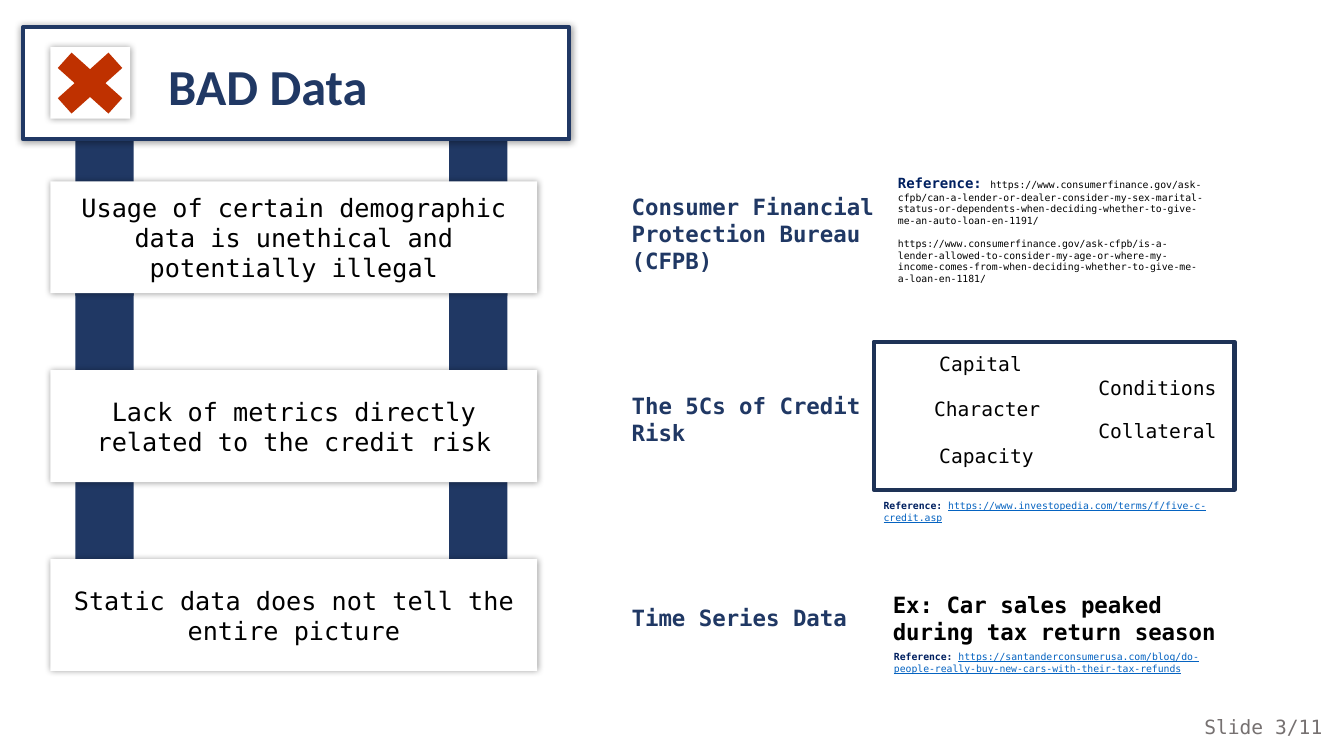
from dataclasses import dataclass
from itertools import product
from typing import NamedTuple, Optional

from lxml.etree import SubElement
from pptx import Presentation
from pptx.dml.color import RGBColor
from pptx.enum.shapes import MSO_SHAPE as Kind
from pptx.enum.text import MSO_ANCHOR as Anchor, PP_ALIGN as Align
from pptx.oxml.ns import qn
from pptx.util import Cm, Pt


@dataclass(frozen=True)
class Theme:
    mono: str = "DejaVu Sans Mono"
    sans: str = "Calibri"
    navy: str = "203864"
    frame: str = "1E3256"
    ref: str = "002060"
    link: str = "0563C1"
    cross: str = "BF3100"
    gray: str = "767171"
    white: str = "FFFFFF"
    black: str = "000000"
    title: int = 36
    card: int = 18
    head: int = 16
    body: int = 14
    label: int = 10
    small: int = 7
    rule: int = 3


T = Theme()


class Box(NamedTuple):
    left: float
    top: float
    width: float
    height: float


class Run(NamedTuple):
    text: str
    size: int
    color: str = T.black
    bold: bool = False
    under: bool = False
    font: str = T.mono


class Note(NamedTuple):
    """A text box: one tuple of runs for each paragraph."""
    box: Box
    paras: tuple[tuple[Run, ...], ...]
    wrap: bool = True


def fill_text(frame, paras: tuple[tuple[Run, ...], ...], align=Align.LEFT) -> None:
    for i, runs in enumerate(paras):
        para = frame.paragraphs[0] if i == 0 else frame.add_paragraph()
        para.alignment = align
        if i:
            para.space_before = Pt(8)
        for run in runs:
            part = para.add_run()
            part.text = run.text
            font = part.font
            font.name, font.size, font.bold = run.font, Pt(run.size), run.bold
            font.underline = run.under
            font.color.rgb = RGBColor.from_string(run.color)


def add_note(slide, note: Note) -> None:
    frame = slide.shapes.add_textbox(*map(Cm, note.box)).text_frame
    frame.word_wrap = note.wrap
    fill_text(frame, note.paras)


def add_glow(shape) -> None:
    """Add a soft black shadow that spreads evenly on all sides."""
    props = shape.fill._xPr
    effects = props.find(qn("a:effectLst"))
    shade = SubElement(effects, qn("a:outerShdw"), blurRad=str(Pt(5)), dist="0",
                       dir="0", algn="ctr", rotWithShape="0")
    color = SubElement(shade, qn("a:srgbClr"), val=T.black)
    SubElement(color, qn("a:alpha"), val="40000")


def add_block(slide, box: Box, fill: Optional[str], line: Optional[str] = None,
              glow: bool = False, kind=Kind.RECTANGLE):
    shape = slide.shapes.add_shape(kind, *map(Cm, box))
    shape.shadow.inherit = False
    if fill:
        shape.fill.solid()
        shape.fill.fore_color.rgb = RGBColor.from_string(fill)
    else:
        shape.fill.background()
    if line:
        shape.line.color.rgb = RGBColor.from_string(line)
        shape.line.width = Pt(T.rule)
    else:
        shape.line.fill.background()
    if glow:
        add_glow(shape)
    return shape


def add_card(slide, box: Box, text: str) -> None:
    frame = add_block(slide, box, T.white, glow=True).text_frame
    frame.word_wrap = True
    frame.vertical_anchor = Anchor.MIDDLE
    fill_text(frame, ((Run(text, T.card),),), Align.CENTER)


def head(box: Box, text: str, color: str = T.navy) -> Note:
    return Note(box, ((Run(text, T.head, color, bold=True),),))


def source(box: Box, url: str) -> Note:
    return Note(box, ((Run("Reference: ", T.small, T.ref, bold=True),
                       Run(url, T.small, T.link, under=True)),))


def term(text: str, left: float, top: float, width: float) -> Note:
    return Note(Box(left, top, width, 0.86), ((Run(text, T.body),),), wrap=False)


HEAD_X = 15.67
POST_XS = (1.9, 11.32)
POST_SPANS = ((9.32, 7.49), (4.65, 7.49), (0.69, 6.76))
CARD_TOP, CARD_STEP = 4.57, 4.76
CARDS = (
    "Usage of certain demographic data is unethical and potentially illegal",
    "Lack of metrics directly related to the credit risk",
    "Static data does not tell the entire picture",
)
AGENCY = "https://www.consumerfinance.gov/ask-cfpb/"
NOTES = (
    head(Box(HEAD_X, 4.75, 6.76, 2.31),
         "Consumer Financial Protection Bureau (CFPB)"),
    Note(Box(22.38, 4.27, 8.23, 3.38), (
        (Run("Reference: ", T.label, T.ref, bold=True),
         Run(AGENCY + "can-a-lender-or-dealer-consider-my-sex-marital-status-or-"
             "dependents-when-deciding-whether-to-give-me-an-auto-loan-en-1191/",
             T.small)),
        (Run(AGENCY + "is-a-lender-allowed-to-consider-my-age-or-where-my-income-"
             "comes-from-when-deciding-whether-to-give-me-a-loan-en-1181/",
             T.small),),
    )),
    head(Box(HEAD_X, 9.75, 6.45, 1.63), "The 5Cs of Credit Risk"),
    term("Capital", 23.42, 8.74, 2.59),
    term("Character", 23.29, 9.88, 3.2),
    term("Capacity", 23.42, 11.07, 2.9),
    term("Conditions", 27.43, 9.35, 3.51),
    term("Collateral", 27.43, 10.44, 3.51),
    source(Box(22.02, 12.47, 9.09, 0.86),
           "https://www.investopedia.com/terms/f/five-c-credit.asp"),
    head(Box(HEAD_X, 15.11, 6.07, 0.94), "Time Series Data"),
    head(Box(22.25, 14.78, 8.86, 1.63),
         "Ex: Car sales peaked during tax return season", T.black),
    source(Box(22.28, 16.28, 8.86, 0.86),
           "https://santanderconsumerusa.com/blog/"
           "do-people-really-buy-new-cars-with-their-tax-refunds"),
    Note(Box(30.1, 17.88, 3.51, 0.86),
         ((Run("Slide 3/11", T.body, T.gray),),)),
    Note(Box(3.99, 1.27, 10.13, 1.8),
         ((Run("BAD Data", T.title, T.navy, bold=True, font=T.sans),),)),
)


def main() -> None:
    deck = Presentation()
    deck.slide_width, deck.slide_height = Cm(33.87), Cm(19.05)
    slide = deck.slides.add_slide(deck.slide_layouts[6])

    for left, (top, height) in product(POST_XS, POST_SPANS):
        add_block(slide, Box(left, top, 1.47, height), T.navy)
    add_block(slide, Box(0.58, 0.69, 13.77, 2.82), T.white, T.navy, glow=True)
    add_block(slide, Box(1.07, 1.02, 2.44, 2.13), T.white)
    add_block(slide, Box(1.27, 1.19, 2.01, 1.8), T.white, glow=True)
    add_block(slide, Box(1.04, 0.99, 2.46, 2.21), T.cross, kind=Kind.MATH_MULTIPLY)
    add_block(slide, Box(22.02, 8.61, 9.09, 3.73), None, T.frame)

    for i, text in enumerate(CARDS):
        add_card(slide, Box(1.27, CARD_TOP + i * CARD_STEP, 12.27, 2.82), text)
    for note in NOTES:
        add_note(slide, note)
    deck.save("out.pptx")


if __name__ == "__main__":
    main()
